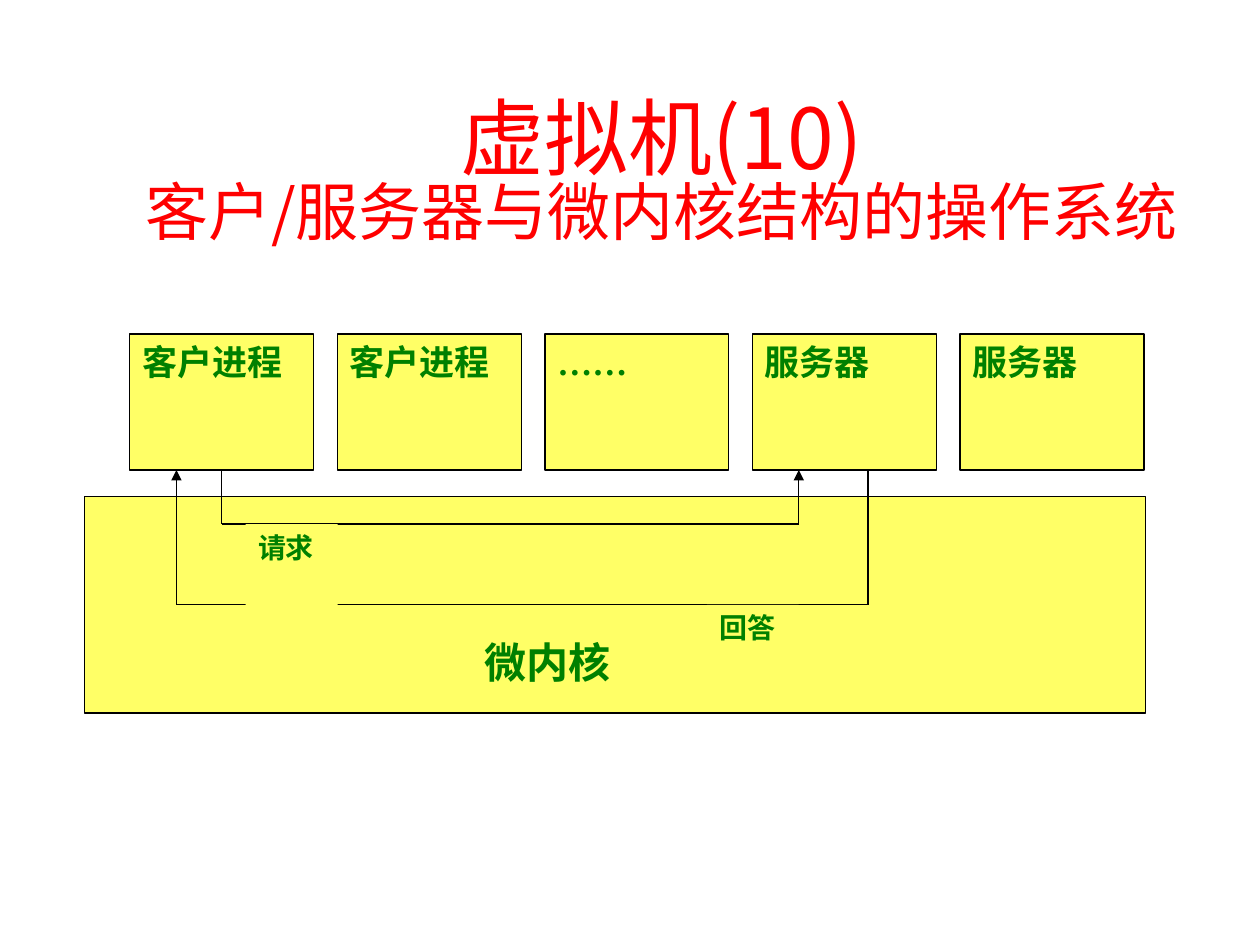
from pptx import Presentation
from pptx.dml.color import RGBColor
from pptx.enum.shapes import MSO_CONNECTOR, MSO_SHAPE
from pptx.enum.text import MSO_ANCHOR, MSO_AUTO_SIZE, PP_ALIGN
from pptx.oxml.ns import qn
from pptx.util import Inches, Pt
from lxml.etree import SubElement

TITLE = [("虚拟机(10)", 48), ("客户/服务器与微内核结构的操作系统", 36)]
PROCESSES = ["客户进程", "客户进程", "……", "服务器", "服务器"]
KERNEL = (0.67, 3.94, 8.42, 1.72)
# text, left, top, width, height, size, alignment
LABELS = [
    ("请求", 1.95, 4.16, 0.73, 0.65, 16, PP_ALIGN.JUSTIFY),
    ("回答", 5.61, 4.8, 0.73, 0.65, 16, PP_ALIGN.JUSTIFY),
    ("微内核", 3.75, 5, 1.42, 0.5, 24, PP_ALIGN.LEFT),
]
BOX_LEFT, BOX_TOP, BOX_W, BOX_H, BOX_PITCH = 1.03, 2.65, 1.46, 1.08, 1.6475
BOX_BOTTOM = BOX_TOP + BOX_H
# start x, end x, depth of the message path through the kernel
MESSAGES = [(1.76, 6.34, 4.16), (6.89, 1.4, 4.8)]
YELLOW, GREEN, RED, BLACK = "FFFF66", "008000", "FF0000", "000000"


def rgb(value):
    return RGBColor.from_string(value)


def format_font(font, name, size, color, bold=False):
    font.name, font.size, font.bold = name, Pt(size), bold
    font.color.rgb = rgb(color)


def add_box(slide, left, top, width, height, outlined=True):
    sp = slide.shapes.add_shape(MSO_SHAPE.RECTANGLE, Inches(left), Inches(top),
                                Inches(width), Inches(height))
    sp.shadow.inherit = False
    sp.fill.solid()
    sp.fill.fore_color.rgb = rgb(YELLOW)
    if outlined:
        sp.line.color.rgb = rgb(BLACK)
        sp.line.width = Pt(0.75)
    else:
        sp.line.fill.background()
    return sp


def write(sp, text, size, align=PP_ALIGN.JUSTIFY):
    tf = sp.text_frame
    tf.word_wrap = True
    tf.vertical_anchor = MSO_ANCHOR.TOP
    tf.text = text
    p = tf.paragraphs[0]
    p.alignment = align
    format_font(p.runs[0].font, "Times New Roman", size, GREEN, True)


def add_line(slide, start, end, arrow=False):
    line = slide.shapes.add_connector(MSO_CONNECTOR.STRAIGHT,
                                      *map(Inches, start + end))
    line.line.color.rgb = rgb(BLACK)
    line.line.width = Pt(0.75)
    if arrow:
        SubElement(line.line._get_or_add_ln(), qn("a:tailEnd"), type="triangle")
    SubElement(line._element.spPr, qn("a:effectLst"))


def add_title(slide):
    title = slide.shapes.title
    title.left, title.top = Inches(1), Inches(0.67)
    title.width, title.height = Inches(8.5), Inches(1.25)
    tf = title.text_frame
    tf.auto_size = MSO_AUTO_SIZE.NONE
    tf.vertical_anchor = MSO_ANCHOR.MIDDLE
    tf.margin_top = Inches(0.25)
    tf.text = "\n".join(text for text, _ in TITLE)
    for p, (_, size) in zip(tf.paragraphs, TITLE):
        p.alignment = PP_ALIGN.CENTER
        p.line_spacing = 0.82
        format_font(p.runs[0].font, "Noto Sans CJK SC", size, RED)


prs = Presentation()
prs.slide_width, prs.slide_height = Inches(10), Inches(7.5)
slide = prs.slides.add_slide(prs.slide_layouts[5])
add_title(slide)

for i, text in enumerate(PROCESSES):
    box = add_box(slide, BOX_LEFT + i * BOX_PITCH, BOX_TOP, BOX_W, BOX_H)
    write(box, text, 20)
add_box(slide, *KERNEL)

for x1, x2, y in MESSAGES:
    add_line(slide, (x1, BOX_BOTTOM), (x1, y))
    add_line(slide, (x1, y), (x2, y))
    add_line(slide, (x2, y), (x2, BOX_BOTTOM), arrow=True)

for text, left, top, width, height, size, align in LABELS:
    label = add_box(slide, left, top, width, height, outlined=False)
    write(label, text, size, align)

prs.save("out.pptx")
